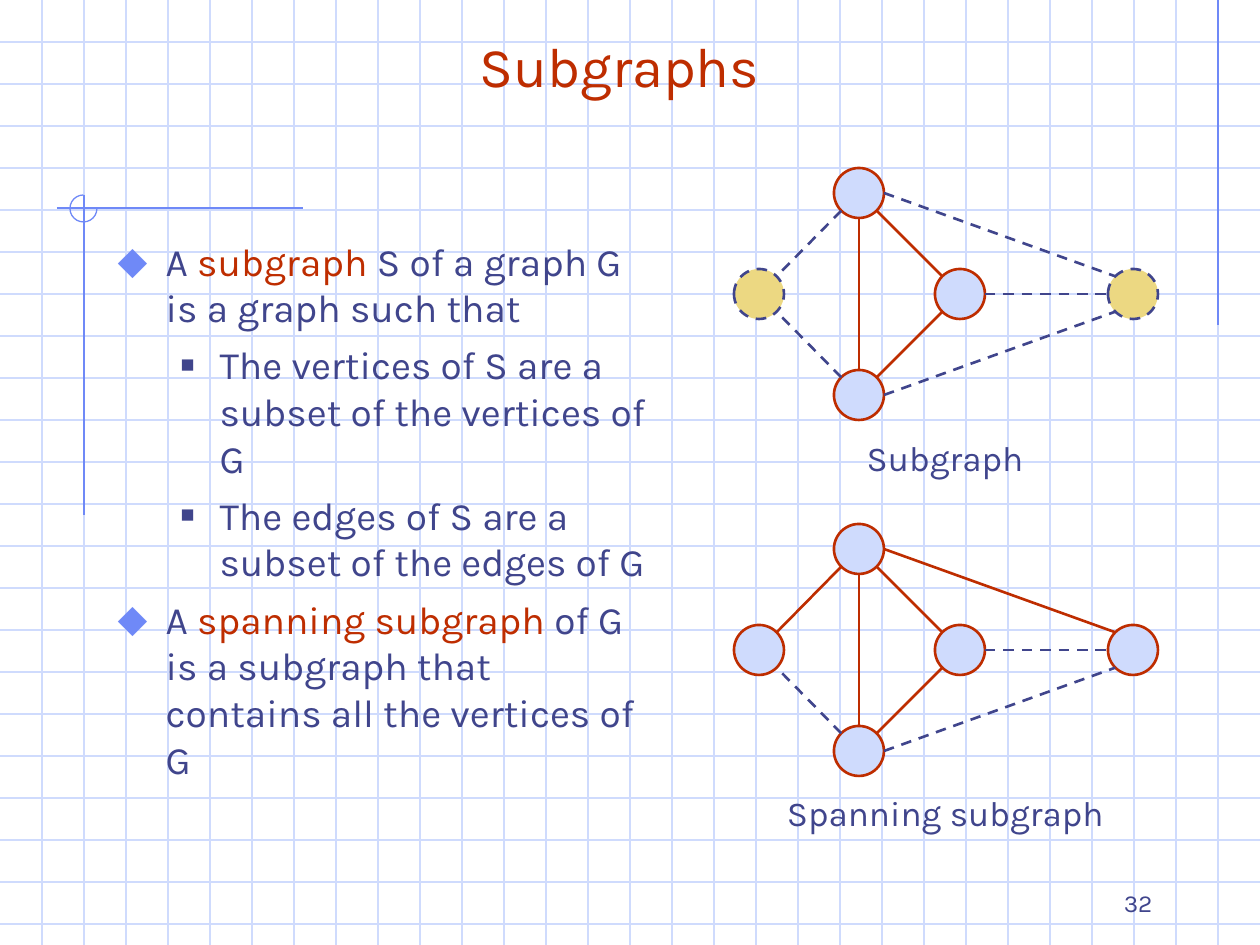
"""Build the slide on subgraphs and spanning subgraphs."""
from dataclasses import dataclass
from math import sqrt
from typing import Any, NamedTuple

from lxml.etree import SubElement
from pptx import Presentation
from pptx.dml.color import RGBColor
from pptx.enum.dml import MSO_LINE as Dash
from pptx.enum.shapes import MSO_CONNECTOR as Link, MSO_SHAPE as Preset
from pptx.enum.text import MSO_ANCHOR as Anchor, MSO_AUTO_SIZE as AutoSize, PP_ALIGN as Align
from pptx.oxml.ns import qn
from pptx.util import Emu, Pt

WIDTH, HEIGHT, CELL = 1260, 945, 42
INK, RED, BLUE, PALE, SAND = "40458C", "BE2D00", "6F89F7", "CFDBFD", "ECD882"
FONT = "Karla"
DIAMETER = 50
DIAGONAL = 1 / sqrt(2)
COMPASS = {
    "N": (0, -1), "S": (0, 1), "E": (1, 0), "W": (-1, 0),
    "NE": (DIAGONAL, -DIAGONAL), "NW": (-DIAGONAL, -DIAGONAL),
    "SE": (DIAGONAL, DIAGONAL), "SW": (-DIAGONAL, DIAGONAL),
}


class Box(NamedTuple):
    left: int
    top: int
    width: int
    height: int


class Edge(NamedTuple):
    start: str
    start_side: str
    end: str
    end_side: str


class Bullet(NamedTuple):
    mark: str
    color: str
    percent: int
    margin: int
    hanging: int


class Item(NamedTuple):
    level: int
    runs: tuple[tuple[str, str], ...]


@dataclass(frozen=True)
class Graph:
    drop: int
    caption: str
    caption_box: Box
    outside_vertices: frozenset[str]
    outside_edges: frozenset[str]


VERTICES = {"mid": (960, 294), "left": (759, 294), "top": (859, 193),
            "bottom": (859, 395), "right": (1133, 294)}
EDGES = {
    "top-left": Edge("top", "SW", "left", "NE"),
    "bottom-left": Edge("bottom", "NW", "left", "SE"),
    "bottom-mid": Edge("bottom", "NE", "mid", "SW"),
    "top-mid": Edge("top", "SE", "mid", "NW"),
    "top-bottom": Edge("top", "S", "bottom", "N"),
    "mid-right": Edge("mid", "E", "right", "W"),
    "bottom-right": Edge("bottom", "E", "right", "SW"),
    "top-right": Edge("top", "E", "right", "NW"),
}
GRAPHS = (
    Graph(0, "Subgraph", Box(748, 430, 394, 55), frozenset({"left", "right"}),
          frozenset({"top-left", "bottom-left", "mid-right", "bottom-right", "top-right"})),
    Graph(356, "Spanning subgraph", Box(694, 785, 503, 55), frozenset(),
          frozenset({"bottom-left", "mid-right", "bottom-right"})),
)
BULLETS = (Bullet("⬥", BLUE, 110, 48, 48), Bullet("■", INK, 60, 102, 39))
DEFINITIONS = (
    Item(0, (("A ", INK), ("subgraph", RED), (" S of a graph G is a graph such that", INK))),
    Item(1, (("The vertices of S are a subset of the vertices of G", INK),)),
    Item(1, (("The edges of S are a subset of the edges of G", INK),)),
    Item(0, (("A ", INK), ("spanning subgraph", RED),
             (" of G is a subgraph that contains all the vertices of G", INK))),
)
ORNAMENTS = ((1218, 0, 1218, 325), (57, 208, 303, 208), (84, 195, 84, 515))


def px(length: float) -> Emu:
    """Convert pixels to EMU."""
    return Emu(round(length * 914400 / 126))


def rgb(code: str) -> RGBColor:
    """Turn a hex string into a colour."""
    return RGBColor.from_string(code)


def assign(target: Any, values: dict[str, Any]) -> None:
    """Set each named attribute of the target."""
    for name, value in values.items():
        setattr(target, name, value)


def place(shape: Any, box: Box) -> None:
    """Move and size a shape."""
    assign(shape, {side: px(length) for side, length in box._asdict().items()})


def style_line(line: Any, color: str, weight: float, dashed: bool) -> None:
    """Give an outline its colour, weight and dash."""
    line.color.rgb = rgb(color)
    line.width = Pt(weight)
    if dashed:
        line.dash_style = Dash.DASH


def draw_line(slide: Any, ends: tuple[float, ...], color: str,
              weight: float = 0.75, dashed: bool = False) -> None:
    """Draw a straight line without a shadow."""
    connector = slide.shapes.add_connector(Link.STRAIGHT, *map(px, ends))
    style_line(connector.line, color, weight, dashed)
    SubElement(connector.element.spPr, qn("a:effectLst"))


def add_run(paragraph: Any, text: str, size: float, color: str) -> None:
    """Append a formatted run."""
    run = paragraph.add_run()
    run.text = text
    assign(run.font, {"name": FONT, "size": Pt(size)})
    run.font.color.rgb = rgb(color)


def write_label(shape: Any, text: str, size: float, color: str, align: Align, anchor: Anchor) -> None:
    """Fill a shape with one line of text."""
    assign(shape.text_frame, {"word_wrap": True, "auto_size": AutoSize.NONE, "vertical_anchor": anchor})
    paragraph = shape.text_frame.paragraphs[0]
    paragraph.alignment = align
    add_run(paragraph, text, size, color)


def draw_backdrop(slide: Any) -> None:
    """Draw the squared paper and the corner ornaments."""
    for y in range(CELL, HEIGHT, CELL):
        draw_line(slide, (0, y, WIDTH, y), PALE)
    for x in range(CELL, WIDTH, CELL):
        draw_line(slide, (x, 0, x, HEIGHT), PALE)
    for ends in ORNAMENTS:
        draw_line(slide, ends, BLUE)
    arc = slide.shapes.add_shape(Preset.ARC, *map(px, Box(70, 195, 27, 27)))
    arc.adjustments[0], arc.adjustments[1] = 0, 162
    arc.shadow.inherit = False
    arc.fill.background()
    style_line(arc.line, BLUE, 0.75, False)


def add_bullet(paragraph: Any, bullet: Bullet) -> None:
    """Give a paragraph its bullet and hanging indent."""
    properties = paragraph._p.get_or_add_pPr()
    properties.set("marL", str(px(bullet.margin)))
    properties.set("indent", str(-px(bullet.hanging)))
    SubElement(SubElement(properties, qn("a:buClr")), qn("a:srgbClr"), val=bullet.color)
    SubElement(properties, qn("a:buSzPct"), val=str(bullet.percent * 1000))
    SubElement(properties, qn("a:buChar"), char=bullet.mark)


def write_definitions(body: Any) -> None:
    """Write the bulleted definitions."""
    frame = body.text_frame
    assign(frame, {"word_wrap": True, "auto_size": AutoSize.NONE})
    for index, item in enumerate(DEFINITIONS):
        paragraph = frame.add_paragraph() if index else frame.paragraphs[0]
        add_bullet(paragraph, BULLETS[item.level])
        assign(paragraph, {"level": item.level, "space_before": Pt(6 if index else 0)})
        for text, color in item.runs:
            add_run(paragraph, text, 22.2, color)


def draw_vertex(slide: Any, x: int, y: int, inside: bool) -> None:
    """Draw a vertex centred on a point."""
    corner = (x - DIAMETER / 2, y - DIAMETER / 2)
    vertex = slide.shapes.add_shape(Preset.OVAL, *map(px, (*corner, DIAMETER, DIAMETER)))
    vertex.shadow.inherit = False
    vertex.fill.solid()
    vertex.fill.fore_color.rgb = rgb(PALE if inside else SAND)
    style_line(vertex.line, RED if inside else INK, 1.5, not inside)


def rim_point(vertex: str, side: str, drop: int) -> tuple[float, float]:
    """Find the point on a vertex rim in a compass direction."""
    (x, y), (dx, dy) = VERTICES[vertex], COMPASS[side]
    return x + dx * DIAMETER / 2, y + drop + dy * DIAMETER / 2


def draw_graph(slide: Any, graph: Graph) -> None:
    """Draw the vertices, edges and caption of a graph."""
    for name, (x, y) in VERTICES.items():
        draw_vertex(slide, x, y + graph.drop, name not in graph.outside_vertices)
    for name, edge in EDGES.items():
        outside = name in graph.outside_edges
        ends = (*rim_point(edge.start, edge.start_side, graph.drop),
                *rim_point(edge.end, edge.end_side, graph.drop))
        draw_line(slide, ends, INK if outside else RED, 1.5, outside)
    caption = slide.shapes.add_textbox(*map(px, graph.caption_box))
    write_label(caption, graph.caption, 20, INK, Align.CENTER, Anchor.TOP)


def main() -> None:
    """Build and save the slide."""
    deck = Presentation()
    assign(deck, {"slide_width": px(WIDTH), "slide_height": px(HEIGHT)})
    slide = deck.slides.add_slide(deck.slide_layouts[1])
    draw_backdrop(slide)
    title, body = slide.placeholders
    for holder, box in ((title, Box(84, 42, 1071, 63)), (body, Box(105, 231, 557, 598))):
        place(holder, box)
        holder.element.getparent().append(holder.element)
    write_label(title, "Subgraphs", 32, RED, Align.CENTER, Anchor.BOTTOM)
    write_definitions(body)
    for graph in GRAPHS:
        draw_graph(slide, graph)
    page_number = slide.shapes.add_textbox(*map(px, Box(903, 861, 262, 63)))
    write_label(page_number, "32", 14, INK, Align.RIGHT, Anchor.BOTTOM)
    deck.save("out.pptx")


if __name__ == "__main__":
    main()
